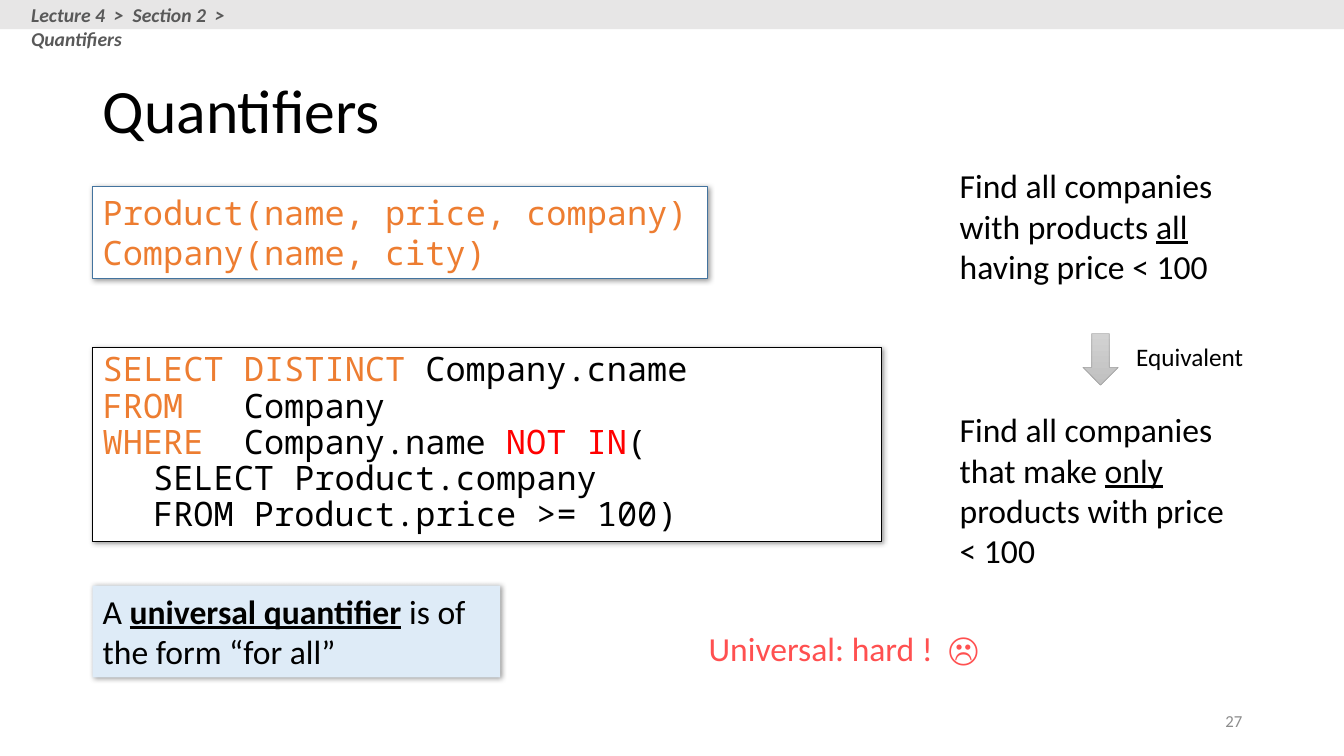
from lxml import etree
from pptx import Presentation
from pptx.dml.color import RGBColor
from pptx.enum.shapes import MSO_SHAPE as SHAPE
from pptx.enum.text import MSO_ANCHOR as ANCHOR, PP_ALIGN as ALIGN
from pptx.oxml.ns import qn
from pptx.util import Inches, Pt

COLORS = {
    "black": "000000", "white": "FFFFFF", "keyword": "ED7D31", "red": "FF0000",
    "hard": "FF5050", "schema_line": "43739E", "definition": "DEEBF7",
    "bar": "E7E6E6", "crumb": "595959", "number": "8C8C8C",
    "arrow_top": "D2D2D2", "arrow_bottom": "C0C0C0", "arrow_line": "A5A5A5",
}
SANS = {"name": "Calibri", "size": 24, "color": "black"}
CODE = SANS | {"name": "Noto Sans Mono"}
KEYWORD = {"color": "keyword"}
UNDERLINE = {"underline": True}
LEFT, RIGHT_COLUMN, COLUMN_WIDTH = 0.92, 9.42, 3


def rgb(name):
    return RGBColor.from_string(COLORS[name])


def format_font(font, style):
    for key, value in style.items():
        if key == "color":
            font.color.rgb = rgb(value)
        else:
            setattr(font, key, Pt(value) if key == "size" else value)


def write(tf, lines, style, align=ALIGN.LEFT, spacing=None):
    """Fill a frame; each line is a list of strings or (string, style) pairs."""
    for i, line in enumerate(lines):
        p = tf.paragraphs[0] if i == 0 else tf.add_paragraph()
        p.alignment = align
        p.line_spacing = spacing
        for part in line:
            text, extra = (part, {}) if isinstance(part, str) else part
            r = p.add_run()
            r.text = text
            format_font(r.font, style | extra)


def add_text(s, box, lines, style=SANS, wrap=True, anchor=ANCHOR.TOP, **layout):
    sp = s.shapes.add_textbox(*map(Inches, box))
    tf = sp.text_frame
    tf.word_wrap = wrap
    tf.vertical_anchor = anchor
    write(tf, lines, style, **layout)
    return sp


def add_shadow(sp):
    effects = etree.SubElement(sp._element.spPr, qn("a:effectLst"))
    shadow = etree.SubElement(effects, qn("a:outerShdw"), blurRad=str(Pt(4)),
                              dist=str(Pt(1)), dir="2700000", rotWithShape="0")
    color = etree.SubElement(shadow, qn("a:srgbClr"), val=COLORS["black"])
    etree.SubElement(color, qn("a:alpha"), val="40000")


def add_panel(s, box, lines, fill, line=None, **text):
    sp = add_text(s, box, lines, **text)
    sp.fill.solid()
    sp.fill.fore_color.rgb = rgb(fill)
    if line:
        sp.line.color.rgb = rgb(line)
        sp.line.width = Pt(0.75)
    add_shadow(sp)


def add_title(s, text):
    title = s.shapes.title
    title.left, title.top, title.width, title.height = map(
        Inches, (LEFT, 0.4, 11.5, 1.45))
    title.text_frame.vertical_anchor = ANCHOR.MIDDLE
    write(title.text_frame, [[text]], SANS | {"size": 44}, spacing=0.9)


def add_down_arrow(s, box):
    arrow = s.shapes.add_shape(SHAPE.DOWN_ARROW, *map(Inches, box))
    arrow.shadow.inherit = False
    arrow.fill.gradient()
    arrow.fill.gradient_angle = 270
    for stop, name in zip(arrow.fill.gradient_stops, ("arrow_top", "arrow_bottom")):
        stop.color.rgb = rgb(name)
    arrow.line.color.rgb = rgb("arrow_line")
    arrow.line.width = Pt(0.5)


def add_breadcrumb(s, text):
    bar = s.shapes.add_shape(SHAPE.RECTANGLE, 0, 0, Inches(13.33), Inches(0.29))
    bar.shadow.inherit = False
    bar.fill.solid()
    bar.fill.fore_color.rgb = rgb("bar")
    bar.line.fill.background()
    add_text(s, (0.21, -0.02, 2.9, 0.34), [[text]],
             SANS | {"size": 14, "color": "crumb", "bold": True, "italic": True})


def main():
    prs = Presentation()
    prs.slide_width, prs.slide_height = Inches(13.33), Inches(7.5)
    s = prs.slides.add_slide(prs.slide_layouts[5])

    add_text(s, (RIGHT_COLUMN, 6.95, COLUMN_WIDTH, 0.4), [["27"]],
             SANS | {"size": 12, "color": "number"},
             anchor=ANCHOR.MIDDLE, align=ALIGN.RIGHT)
    add_title(s, "Quantifiers")

    add_panel(s, (LEFT, 1.85, 6.1, 0.91),
              [["Product(name, price, company)"], ["Company(name, city)"]],
              "white", "schema_line", style=CODE | KEYWORD, wrap=False)
    add_panel(s, (LEFT, 3.45, 7.82, 1.92), [
        [("SELECT DISTINCT ", KEYWORD), "Company.cname"],
        [("FROM   ", KEYWORD), "Company"],
        [("WHERE  ", KEYWORD), "Company.name ", ("NOT IN", {"color": "red"}), "("],
        ["\tSELECT Product.company"],
        ["\tFROM Product.price >= 100)"],
    ], "white", "black", style=CODE, spacing=0.9)
    add_panel(s, (LEFT, 5.81, 4.04, 0.91), [
        ["A ", ("universal quantifier", UNDERLINE | {"bold": True}),
         " is of the form “for all”"],
    ], "definition")

    add_text(s, (6.93, 6.18, 2.9, 0.5), [["Universal: hard !  ☹"]],
             SANS | {"color": "hard"}, wrap=False)
    add_text(s, (RIGHT_COLUMN, 1.59, COLUMN_WIDTH, 1.31), [
        ["Find all companies with products ", ("all", UNDERLINE),
         " having price < 100"]])
    add_text(s, (RIGHT_COLUMN, 4.01, COLUMN_WIDTH, 1.72), [
        ["Find all companies that make ", ("only ", UNDERLINE),
         "products with price < 100"]])
    add_down_arrow(s, (10.74, 3.31, 0.35, 0.51))
    add_text(s, (11.17, 3.34, 1.28, 0.4), [["Equivalent"]],
             SANS | {"size": 18}, wrap=False)
    add_breadcrumb(s, "Lecture 4  >  Section 2  >  Quantifiers")

    prs.save("out.pptx")


if __name__ == "__main__":
    main()
